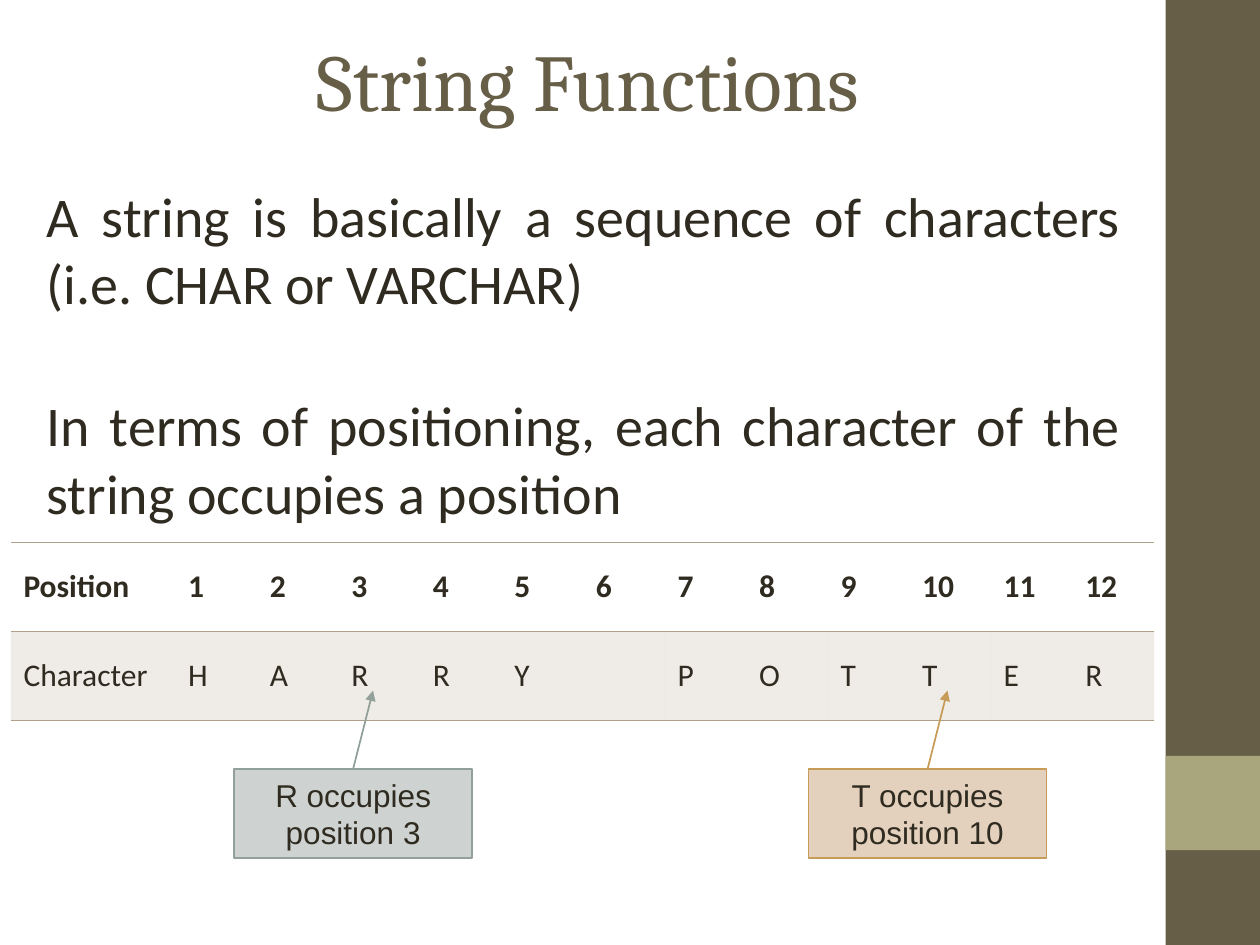
from dataclasses import dataclass

from lxml import etree
from pptx import Presentation
from pptx import util as u
from pptx.dml.color import RGBColor
from pptx.enum import shapes, text
from pptx.oxml.ns import qn


@dataclass(frozen=True)
class Theme:
    brown: str = "675E47"
    green: str = "A9A57C"
    ink: str = "2F2B20"
    tan: str = "B1A089"
    grey_fill: str = "CED3D1"
    grey_line: str = "91A099"
    gold_fill: str = "E3D1BD"
    gold_line: str = "C69C58"
    title_size: int = 46
    body_size: int = 32
    small_size: int = 18
    heading_font: str = "Cambria"
    body_font: str = "Calibri"
    label_font: str = "Arial"


T = Theme()


def rgb(value):
    return RGBColor.from_string(value)


def box(left, top, width, height):
    return [u.Cm(v) for v in (left, top, width, height)]


def style(p, font, size, color, align=None, bold=False):
    p.alignment = align
    p.font.name = font
    p.font.size = u.Pt(size)
    p.font.bold = bold
    p.font.color.rgb = rgb(color)


def add_rect(parent, place, fill, line=None):
    sp = parent.add_shape(shapes.MSO_SHAPE.RECTANGLE, *place)
    sp.shadow.inherit = False
    sp.fill.solid()
    sp.fill.fore_color.rgb = rgb(fill)
    if line:
        sp.line.color.rgb = rgb(line)
        sp.line.width = u.Pt(1)
    else:
        sp.line.fill.background()
    return sp


def add_title(s, words):
    tf = s.shapes.add_textbox(*box(1.27, 0, 21.16, 3.18)).text_frame
    tf.word_wrap = True
    tf.vertical_anchor = text.MSO_ANCHOR.MIDDLE
    tf.text = words
    style(tf.paragraphs[0], T.heading_font, T.title_size, T.brown,
          text.PP_ALIGN.CENTER)


def add_body(s, paragraphs):
    tf = s.shapes.add_textbox(*box(0.69, 3.53, 22.17, 9.9)).text_frame
    tf.word_wrap = True
    tf.text = "\n".join(paragraphs)
    for i, p in enumerate(tf.paragraphs):
        style(p, T.body_font, T.body_size, T.ink, text.PP_ALIGN.JUSTIFY)
        p.space_before = u.Pt(43 if i else 0)


def add_borders(cell, sides):
    """Rule the given sides; the elements must precede the cell fill."""
    tc_pr = cell._tc.get_or_add_tcPr()
    for i, side in enumerate(sides):
        ln = etree.Element(qn(f"a:ln{side}"), w=str(u.Pt(0.45)))
        fill = etree.SubElement(ln, qn("a:solidFill"))
        etree.SubElement(fill, qn("a:srgbClr"), val=T.tan)
        tc_pr.insert(i, ln)


def tint(cell):
    """Fill a cell with the rule colour at 20 % opacity."""
    cell.fill.solid()
    cell.fill.fore_color.rgb = rgb(T.tan)
    color = cell._tc.tcPr.find(".//" + qn("a:srgbClr"))
    etree.SubElement(color, qn("a:alpha"), val="20000")


def add_position_table(s, word):
    rows = [["Position", *map(str, range(1, len(word) + 1))],
            ["Character", *word]]
    width, label_width = 23.06, 3.32
    table = s.shapes.add_table(2, len(rows[0]),
                               *box(0.22, 10.93, width, 3.6)).table
    table.horz_banding = False
    table.first_row = False
    no_style = "{2D5ABB26-0587-4C30-8999-92F81FD0307C}"
    table._tbl.tblPr.find(qn("a:tableStyleId")).text = no_style
    for i, col in enumerate(table.columns):
        col.width = u.Cm((width - label_width) / len(word) if i else label_width)
    for r, row in enumerate(rows):
        table.rows[r].height = u.Cm(1.8)
        for c, value in enumerate(row):
            cell = table.cell(r, c)
            cell.vertical_anchor = text.MSO_ANCHOR.MIDDLE
            cell.text = value.strip()
            style(cell.text_frame.paragraphs[0], T.body_font, T.small_size,
                  T.ink, bold=r == 0)
            if r:
                tint(cell)
            else:
                cell.fill.background()
            add_borders(cell, "TB")


def add_arrow(parent, start, end, color):
    line = parent.add_connector(shapes.MSO_CONNECTOR.STRAIGHT,
                                *[u.Cm(v) for v in (*start, *end)])
    line.line.color.rgb = rgb(color)
    line.line.width = u.Pt(1)
    etree.SubElement(line.line._get_or_add_ln(), qn("a:tailEnd"),
                     type="triangle")
    etree.SubElement(line._element.spPr, qn("a:effectLst"))


def add_callout(s, left, words, fill, line):
    """A labelled box whose arrow points up into the table."""
    group = s.shapes.add_group_shape().shapes
    top, width = 15.5, 4.8
    sp = add_rect(group, box(left, top, width, 1.8), fill, line)
    tf = sp.text_frame
    tf.word_wrap = True
    tf.vertical_anchor = text.MSO_ANCHOR.MIDDLE
    tf.text = words
    style(tf.paragraphs[0], T.label_font, T.small_size, T.ink,
          text.PP_ALIGN.CENTER)
    middle = left + width / 2
    add_arrow(group, (middle, top), (middle + 0.4, 13.92), line)


def main():
    prs = Presentation()
    prs.slide_width, prs.slide_height = u.Cm(25.4), u.Cm(19.05)
    s = prs.slides.add_slide(prs.slide_layouts[6])
    add_rect(s.shapes, box(23.5, 0, 1.9, 19.05), T.brown)
    add_rect(s.shapes, box(23.5, 15.24, 1.9, 1.9), T.green)
    add_title(s, "String Functions")
    add_body(s, [
        "A string is basically a sequence of characters (i.e. CHAR or VARCHAR)",
        "In terms of positioning, each character of the string occupies a position",
    ])
    add_position_table(s, "HARRY POTTER")
    add_callout(s, 4.72, "R occupies position 3", T.grey_fill, T.grey_line)
    add_callout(s, 16.3, "T occupies position 10", T.gold_fill, T.gold_line)
    prs.save("out.pptx")


if __name__ == "__main__":
    main()
